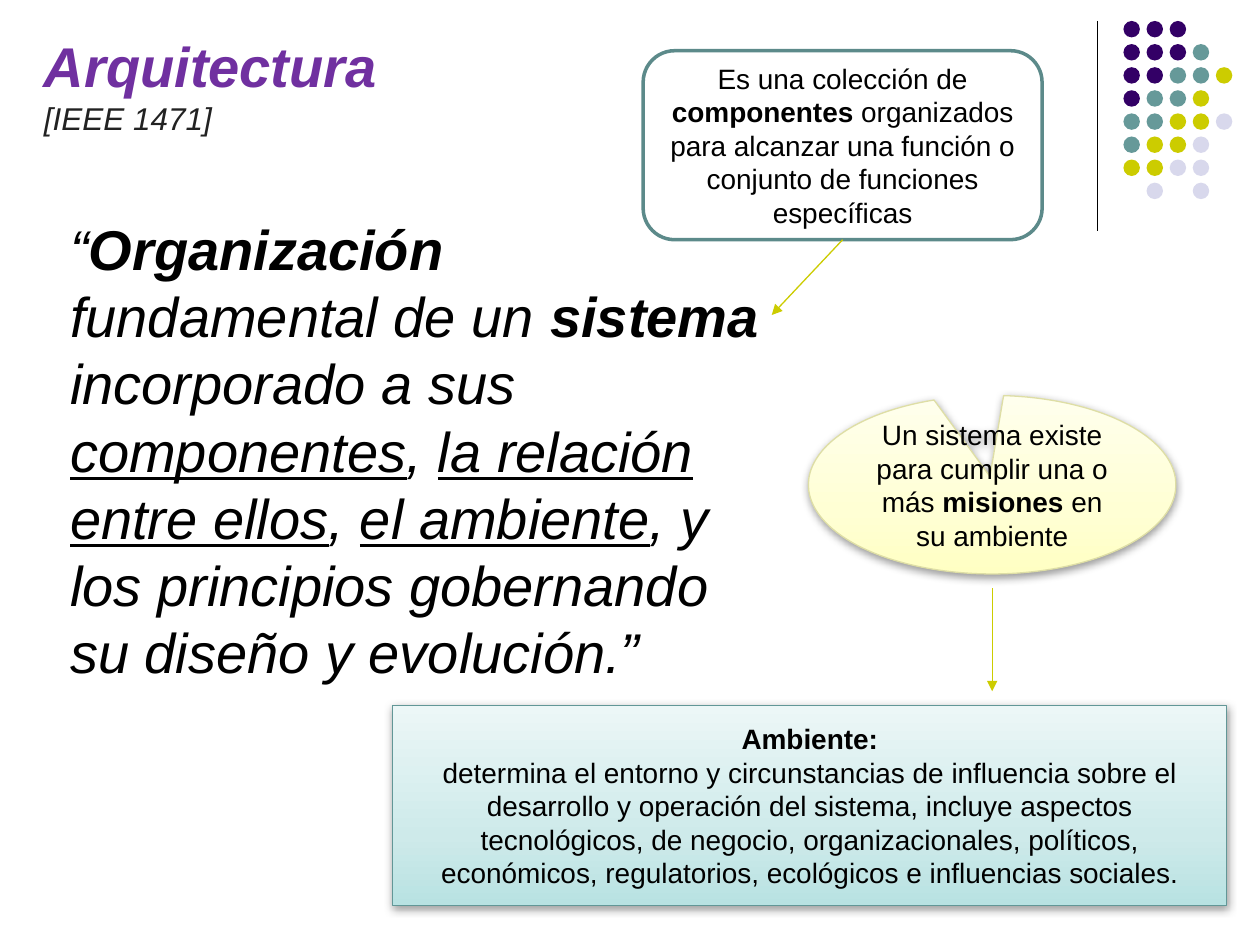
from dataclasses import dataclass, field

import pptx
import pptx.dml.color
import pptx.enum.shapes
import pptx.enum.text
import pptx.oxml
import pptx.oxml.ns
import pptx.util

Pt = pptx.util.Pt
qn = pptx.oxml.ns.qn
SHAPE = pptx.enum.shapes.MSO_SHAPE
ANCHOR = pptx.enum.text.MSO_ANCHOR
ALIGN = pptx.enum.text.PP_ALIGN
NS = 'xmlns:a="http://schemas.openxmlformats.org/drawingml/2006/main"'


@dataclass(frozen=True)
class Theme:
    font: str = "Arial"
    text: str = "000000"
    title: str = "7030A0"
    source: str = "222222"
    arrow: str = "CCCC00"
    white: str = "FFFFFF"
    outline: str = "5C8A8A"
    yellow_line: str = "DEDEA5"
    teal_line: str = "629797"
    yellow: tuple = ((0, "FFFFC3"), (35, "FFFFD4"), (100, "FFFFED"))
    teal: tuple = ((0, "B8E2E2"), (35, "CEEAEA"), (100, "ECF7F7"))
    dots: dict = field(default_factory=lambda: {
        "P": "330066", "T": "669999", "Y": "CCCC00", "L": "D8D8EC"})
    big: float = 32
    medium: float = 18
    small: float = 16
    thin: float = 0.75
    thick: float = 2


THEME = Theme()


@dataclass(frozen=True)
class Run:
    text: str
    bold: bool = False
    underline: bool = False
    italic: bool = False
    size: float = THEME.small
    color: str = THEME.text


@dataclass(frozen=True)
class Box:
    left: float
    top: float
    width: float
    height: float

    def lengths(self) -> tuple:
        return Pt(self.left), Pt(self.top), Pt(self.width), Pt(self.height)


@dataclass(frozen=True)
class Panel:
    shape: int
    box: Box
    fill: str | tuple
    line: str
    weight: float
    paragraphs: list
    adjustments: tuple = ()


def rgb(value: str) -> pptx.dml.color.RGBColor:
    return pptx.dml.color.RGBColor.from_string(value)


def write(s, paragraphs: list, align: int, anchor: int) -> None:
    tf = s.text_frame
    tf.word_wrap = True
    tf.vertical_anchor = anchor
    for i, runs in enumerate(paragraphs):
        p = tf.paragraphs[0] if i == 0 else tf.add_paragraph()
        p.alignment = align
        for run in runs:
            r = p.add_run()
            r.text = run.text
            r.font.name = THEME.font
            r.font.size = Pt(run.size)
            r.font.bold = run.bold
            r.font.italic = run.italic
            r.font.underline = run.underline
            r.font.color.rgb = rgb(run.color)


def add_text(slide, box: Box, paragraphs: list, anchor: int) -> None:
    s = slide.shapes.add_textbox(*box.lengths())
    write(s, paragraphs, ALIGN.LEFT, anchor)


def set_gradient(s, stops: tuple) -> None:
    s.fill.gradient()
    s.fill.gradient_angle = 90
    gs_list = s._element.spPr.find(qn("a:gradFill")).find(qn("a:gsLst"))
    for old in list(gs_list):
        gs_list.remove(old)
    for pos, color in stops:
        gs_list.append(pptx.oxml.parse_xml(
            f'<a:gs {NS} pos="{pos * 1000}"><a:srgbClr val="{color}"/></a:gs>'))


def set_shadow(s) -> None:
    s._element.spPr.find(qn("a:effectLst")).append(pptx.oxml.parse_xml(
        f'<a:outerShdw {NS} blurRad="{Pt(5)}" dist="{Pt(1.6)}" dir="5400000" rotWithShape="0">'
        '<a:srgbClr val="000000"><a:alpha val="38000"/></a:srgbClr></a:outerShdw>'))


def add_panel(slide, panel: Panel):
    s = slide.shapes.add_shape(panel.shape, *panel.box.lengths())
    s.shadow.inherit = False
    for i, value in enumerate(panel.adjustments):
        s.adjustments[i] = value
    if isinstance(panel.fill, tuple):
        set_gradient(s, panel.fill)
        set_shadow(s)
    else:
        s.fill.solid()
        s.fill.fore_color.rgb = rgb(panel.fill)
    s.line.color.rgb = rgb(panel.line)
    s.line.width = Pt(panel.weight)
    write(s, panel.paragraphs, ALIGN.CENTER, ANCHOR.MIDDLE)
    return s


def add_line(slide, start: tuple, end: tuple, color: str, arrow: bool = False):
    c = slide.shapes.add_connector(
        pptx.enum.shapes.MSO_CONNECTOR.STRAIGHT, *(Pt(v) for v in start + end))
    c.line.color.rgb = rgb(color)
    c.line.width = Pt(THEME.thin)
    if arrow:
        c.line._get_or_add_ln().append(
            pptx.oxml.parse_xml(f'<a:tailEnd {NS} type="triangle"/>'))
    c._element.spPr.append(pptx.oxml.parse_xml(f"<a:effectLst {NS}/>"))
    return c


def add_dots(slide, rows: tuple, left: float, top: float, pitch: float, size: float) -> None:
    for y, row in enumerate(rows):
        for x, key in enumerate(row):
            if key not in THEME.dots:
                continue
            box = Box(left + x * pitch, top + y * pitch, size, size)
            s = slide.shapes.add_shape(SHAPE.OVAL, *box.lengths())
            s.shadow.inherit = False
            s.fill.solid()
            s.fill.fore_color.rgb = rgb(THEME.dots[key])
            s.line.fill.background()


def quote(text: str, bold: bool = False, underline: bool = False) -> Run:
    return Run(text, bold, underline, italic=True, size=THEME.big)


def main() -> None:
    prs = pptx.Presentation()
    prs.slide_width, prs.slide_height = Pt(720), Pt(540)
    slide = prs.slides.add_slide(prs.slide_layouts[6])

    # Corner decoration
    add_line(slide, (627, 12), (627, 132), THEME.text)
    add_dots(slide, ("PPP", "PPPT", "PPTTY", "PTTY", "TTYYL", "TYYL", "YYLL", ".L.L"),
             642, 12, 13.2, 9.4)

    # Definition
    add_text(slide, Box(33, 108, 408.5, 287), [[
        quote("“"), quote("Organización", bold=True), quote(" fundamental de un "),
        quote("sistema", bold=True), quote(" incorporado a sus "),
        quote("componentes", underline=True), quote(", "),
        quote("la relación entre ellos", underline=True), quote(", "),
        quote("el ambiente", underline=True),
        quote(", y los principios gobernando su diseño y evolución.”")]], ANCHOR.BOTTOM)

    # Explanations of system, mission and environment
    system = add_panel(slide, Panel(
        SHAPE.ROUNDED_RECTANGLE, Box(367.5, 29, 228, 108), THEME.white, THEME.outline,
        THEME.thick, [[
            Run("Es una colección de "), Run("componentes", bold=True),
            Run(" organizados para alcanzar una función o conjunto de funciones específicas")]]))
    add_panel(slide, Panel(
        SHAPE.OVAL_CALLOUT, Box(462, 226, 210, 102), THEME.yellow, THEME.yellow_line,
        THEME.thin, [[
            Run("Un sistema existe para cumplir una o más "), Run("misiones", bold=True),
            Run(" en su ambiente")]], (-0.006, -0.046)))
    add_panel(slide, Panel(
        SHAPE.RECTANGLE, Box(224.5, 403, 476.5, 114.5), THEME.teal, THEME.teal_line,
        THEME.thin, [
            [Run("Ambiente:", bold=True)],
            [Run("determina el entorno y circunstancias de influencia sobre el desarrollo y "
                 "operación del sistema, incluye aspectos tecnológicos, de negocio, "
                 "organizacionales, políticos, económicos, regulatorios, ecológicos e "
                 "influencias sociales.")]]))

    # Arrows
    add_line(slide, (567, 336), (567, 395), THEME.arrow, arrow=True)
    link = add_line(slide, (481.5, 137), (441, 180), THEME.arrow, arrow=True)
    link.begin_connect(system, 2)

    # Title
    add_text(slide, Box(18, 14.5, 207, 68), [
        [Run("Arquitectura", bold=True, italic=True, size=THEME.big, color=THEME.title)],
        [Run("[IEEE 1471]", italic=True, size=THEME.medium, color=THEME.source)]], ANCHOR.TOP)

    prs.save("out.pptx")


if __name__ == "__main__":
    main()
